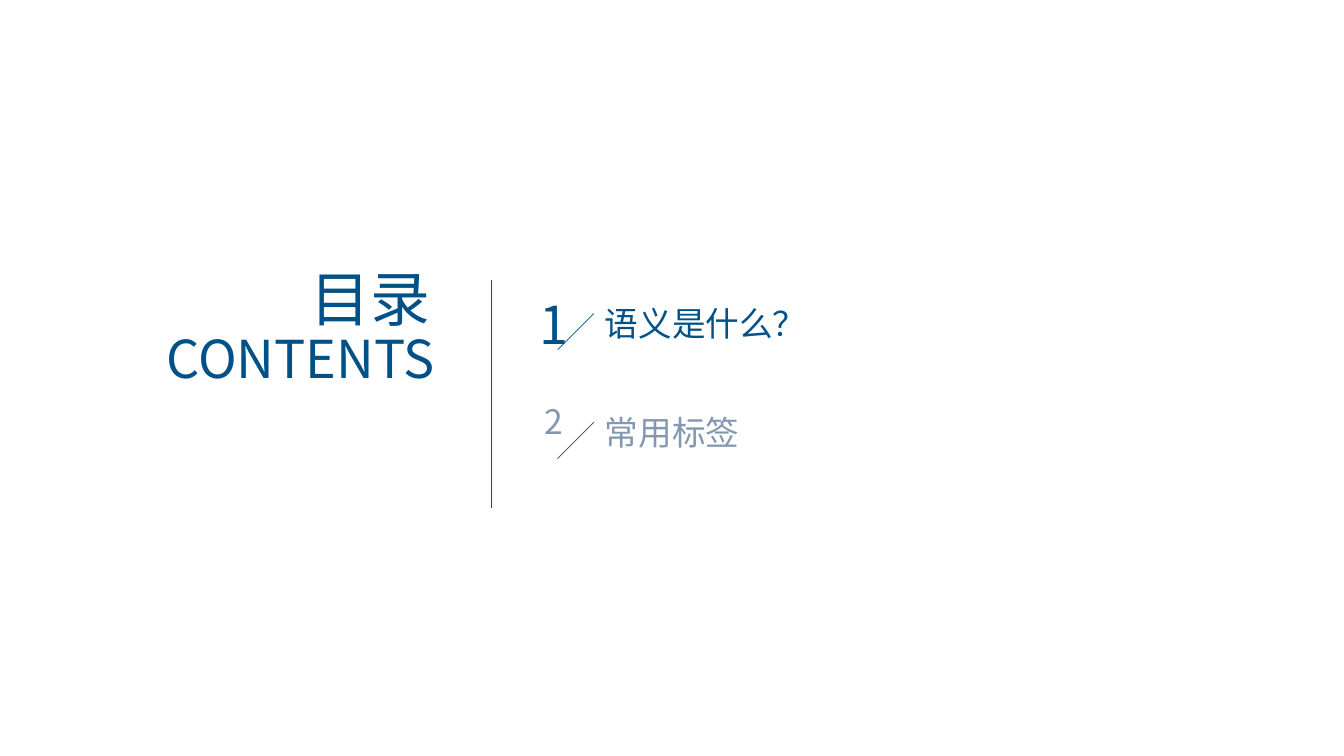
"""Build a contents slide with two numbered sections."""
from dataclasses import dataclass

from lxml.etree import SubElement
from pptx import Presentation
from pptx.dml.color import RGBColor
from pptx.enum.shapes import MSO_CONNECTOR as Connector
from pptx.enum.text import MSO_AUTO_SIZE as AutoSize, PP_ALIGN as Align
from pptx.oxml import parse_xml
from pptx.oxml.ns import nsdecls, qn
from pptx.util import Inches, Pt


@dataclass(frozen=True)
class Theme:
    font: str = "Noto Sans CJK SC"
    active: str = "005188"
    muted: str = "8497B0"
    title: float = 42.7
    large: float = 37.3
    body: float = 24
    outline: float = 0.75
    rule: float = 0.5


THEME = Theme()
ROW_TOP = 2.85
ROW_PITCH = 1.08
NUMBER_CENTER = 5.49


def add_outline(run, color):
    outline = parse_xml(
        f'<a:ln {nsdecls("a")} w="{Pt(THEME.outline)}"><a:solidFill>'
        f'<a:srgbClr val="{color}"/></a:solidFill></a:ln>'
    )
    run.font._element.insert(0, outline)


def add_text(slide, text, left, top, width, height, *, size, color=THEME.active,
             align=Align.LEFT, wrap=False, outlined=True):
    box = slide.shapes.add_textbox(*map(Inches, (left, top, width, height)))
    frame = box.text_frame
    frame.word_wrap = wrap
    frame.auto_size = AutoSize.SHAPE_TO_FIT_TEXT
    paragraph = frame.paragraphs[0]
    paragraph.alignment = align
    run = paragraph.add_run()
    run.text = text
    run.font.size = Pt(size)
    run.font.name = THEME.font
    run.font.color.rgb = RGBColor.from_string(color)
    SubElement(run.font._element, qn("a:ea"), typeface=THEME.font)
    if outlined:
        add_outline(run, color)


def add_line(slide, start_x, start_y, end_x, end_y):
    line = slide.shapes.add_connector(
        Connector.STRAIGHT, *map(Inches, (start_x, start_y, end_x, end_y)))
    line.line.color.rgb = RGBColor.from_string(THEME.active)
    line.line.width = Pt(THEME.rule)
    SubElement(line._element.spPr, qn("a:effectLst"))


def add_section(slide, index, label, label_width, active):
    top = ROW_TOP + index * ROW_PITCH
    color = THEME.active if active else THEME.muted
    number_size = THEME.large if active else THEME.body
    width, height = (0.51, 0.73) if active else (0.4, 0.5)
    add_text(slide, label, 5.9, top + 0.11, label_width, 0.5, size=THEME.body,
             color=color, wrap=active, outlined=active)
    add_text(slide, str(index + 1), NUMBER_CENTER - width / 2, top, width, height,
             size=number_size, color=color, align=Align.CENTER, outlined=active)
    add_line(slide, 5.89, top + 0.26, 5.53, top + 0.62)


def main():
    presentation = Presentation()
    presentation.slide_width = Inches(13.33)
    presentation.slide_height = Inches(7.5)
    slide = presentation.slides.add_slide(presentation.slide_layouts[6])
    add_text(slide, "CONTENTS", 0.41, 3.19, 4, 0.73, size=THEME.large,
             align=Align.RIGHT, wrap=True)
    add_text(slide, "目录", 2.98, 2.55, 1.4, 0.82, size=THEME.title)
    sections = [("语义是什么？", 4.72, True), ("常用标签", 1.55, False)]
    for index, (label, label_width, active) in enumerate(sections):
        add_section(slide, index, label, label_width, active)
    add_line(slide, 4.87, 2.78, 4.87, 5.04)
    presentation.save("out.pptx")


if __name__ == "__main__":
    main()
